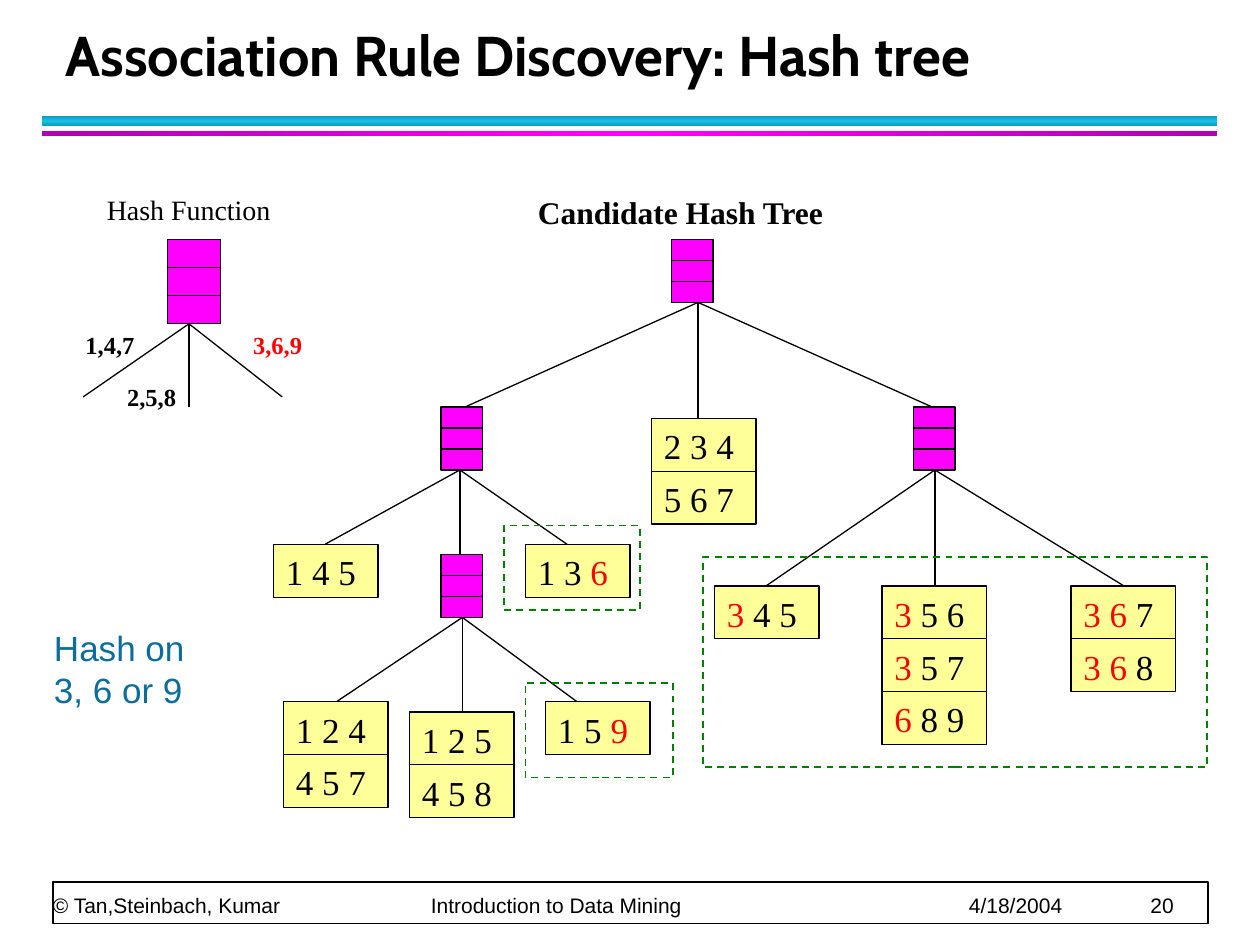
"""Build the slide that shows a candidate hash tree, hashed on 3, 6 or 9."""
import copy

import pptx
import pptx.dml.color
import pptx.enum.dml
import pptx.enum.shapes
import pptx.enum.text
import pptx.oxml.ns
import pptx.oxml.xmlchemy
import pptx.util

Inches = pptx.util.Inches
Pt = pptx.util.Pt

THEME = {
    "colors": {
        "ink": "000000", "paper": "FFFFFF", "hit": "FF0000", "node": "FF00FF",
        "leaf": "FFFF99", "match": "008000", "note": "0C6D9C",
    },
    "bars": {"cyan": ("0E9AB9", "12C2E9"), "magenta": ("B100B1", "FF00FF")},
    "text": {
        "title": {"name": "Cabin", "size": Pt(32), "bold": True},
        "heading": {"name": "Times New Roman", "size": Pt(18), "bold": True},
        "legend": {"name": "Times New Roman", "size": Pt(16), "bold": False},
        "branch": {"name": "Times New Roman", "size": Pt(14), "bold": True},
        "leaf": {"name": "Times New Roman", "size": Pt(20), "bold": False},
        "note": {"name": "Arial", "size": Pt(20), "bold": False},
        "footer": {"name": "Arial", "size": Pt(12), "bold": False},
    },
    "thin": Pt(0.75),
    "outline": Pt(1),
}

TITLE = "Association Rule Discovery: Hash tree"
FOOTER = ["© Tan,Steinbach, Kumar", "Introduction to Data Mining", "4/18/2004", "20"]
FOOTER_TABS = [3, 7.27, 8.71]

RULES = [((0.33, 0.92, 9.33, 0.08), "cyan", 90), ((0.33, 1.04, 9.33, 0.04), "magenta", 0)]

NODE_SIZE = (0.33, 0.5)
LEGEND_SIZE = (0.42, 0.67)
NODES = [
    {"at": (5.33, 1.9), "size": NODE_SIZE, "fork": 5.54,
     "ends": [(3.67, 3.24), (5.54, 3.32), (7.42, 3.24)]},
    {"at": (3.5, 3.23), "size": NODE_SIZE, "fork": 3.65,
     "ends": [(2.58, 4.32), (3.65, 4.4), (4.5, 4.32)]},
    {"at": (7.25, 3.23), "size": NODE_SIZE, "fork": 7.42,
     "ends": [(6.08, 4.65), (7.42, 4.65), (8.92, 4.65)]},
    {"at": (3.5, 4.4), "size": NODE_SIZE, "fork": 3.67,
     "ends": [(2.67, 5.57), (3.67, 5.65), (4.58, 5.57)]},
    {"at": (1.33, 1.9), "size": LEGEND_SIZE, "fork": 1.5,
     "ends": [(0.66, 3.15), (1.5, 3.23), (2.24, 3.15)]},
]

LEAF_SIZE = (0.83, 0.42)
LEAVES = [
    (2.17, 4.32, ["1 4 5"]),
    (4.17, 4.32, ["1 3 |6|"]),
    (5.17, 3.32, ["2 3 4", "5 6 7"]),
    (2.25, 5.57, ["1 2 4", "4 5 7"]),
    (3.25, 5.65, ["1 2 5", "4 5 8"]),
    (4.33, 5.57, ["1 5 |9|"]),
    (5.67, 4.65, ["|3| 4 5"]),
    (7, 4.65, ["|3| 5 6", "|3| 5 7", "|6| 8 9"]),
    (8.5, 4.65, ["|3 6| 7", "|3 6| 8"]),
]

MATCHES = [(4.17, 5.42, 1.17, 0.75), (5.58, 4.42, 4, 1.67), (4, 4.17, 1.08, 0.67)]

LABELS = [
    ("Hash Function", (0.75, 1.48, 1.5, 0.37), "legend", "ink", False),
    ("Candidate Hash Tree", (4.17, 1.48, 2.49, 0.4), "heading", "ink", False),
    ("1,4,7", (0.58, 2.57, 0.59, 0.34), "branch", "ink", False),
    ("2,5,8", (0.91, 2.98, 0.59, 0.34), "branch", "ink", False),
    ("|3,6,9|", (1.91, 2.57, 0.59, 0.34), "branch", "ink", False),
    ("Hash on 3, 6 or 9", (0.33, 4.92, 1.25, 0.77), "note", "note", True),
]


def color(name):
    return pptx.dml.color.RGBColor.from_string(THEME["colors"][name])


def apply(target, values):
    for key, value in values.items():
        setattr(target, key, value)


def write(paragraph, text, style, ink="ink"):
    """Write text, with the parts between bars in the hit colour."""
    paragraph.alignment = pptx.enum.text.PP_ALIGN.LEFT
    for index, part in enumerate(text.split("|")):
        if part:
            run = paragraph.add_run()
            run.text = part
            apply(run.font, THEME["text"][style])
            run.font.color.rgb = color("hit" if index % 2 else ink)


def add_box(slide, frame, fill=None, line="ink", width="thin"):
    box = slide.shapes.add_shape(
        pptx.enum.shapes.MSO_SHAPE.RECTANGLE, *map(Inches, frame))
    box.shadow.inherit = False
    if fill:
        box.fill.solid()
        box.fill.fore_color.rgb = color(fill)
    else:
        box.fill.background()
    box.line.color.rgb = color(line)
    box.line.width = THEME[width]
    return box


def add_line(slide, start, end):
    line = slide.shapes.add_connector(
        pptx.enum.shapes.MSO_CONNECTOR.STRAIGHT, *map(Inches, (*start, *end)))
    line.line.color.rgb = color("ink")
    line.line.width = THEME["thin"]
    line._element.spPr.append(pptx.oxml.xmlchemy.OxmlElement("a:effectLst"))


def add_rule(slide, frame, shades, angle):
    rule = add_box(slide, frame)
    rule.line.fill.background()
    rule.fill.gradient()
    rule.fill.gradient_angle = angle
    edge, middle = THEME["bars"][shades]
    stop_list = rule._element.spPr.find(".//" + pptx.oxml.ns.qn("a:gsLst"))
    stop_list.append(copy.deepcopy(stop_list[0]))
    for stop, place, shade in zip(rule.fill.gradient_stops, (0, 0.5, 1), (edge, middle, edge)):
        stop.color.rgb = pptx.dml.color.RGBColor.from_string(shade)
        stop.position = place


def add_node(slide, node):
    (left, top), (width, height) = node["at"], node["size"]
    add_box(slide, (left, top, width, height), "node")
    for third in (1, 2):
        level = top + height * third / 3
        add_line(slide, (left, level), (left + width, level))


def add_leaf(slide, left, top, itemsets):
    width, height = LEAF_SIZE
    for row, itemset in enumerate(itemsets):
        leaf = add_box(slide, (left, top + row * height, width, height), "leaf")
        apply(leaf.text_frame, {
            "vertical_anchor": pptx.enum.text.MSO_ANCHOR.TOP, "margin_bottom": 0})
        write(leaf.text_frame.paragraphs[0], itemset, "leaf")


def add_label(slide, text, frame, style, ink, wraps):
    label = slide.shapes.add_textbox(*map(Inches, frame))
    label.text_frame.word_wrap = wraps
    write(label.text_frame.paragraphs[0], text, style, ink)


def add_title(slide):
    title = slide.shapes.title
    apply(title, dict(zip(("left", "top", "width", "height"),
                          map(Inches, (0.42, 0.17, 9.06, 0.58)))))
    apply(title.text_frame, {
        "vertical_anchor": pptx.enum.text.MSO_ANCHOR.BOTTOM,
        "auto_size": pptx.enum.text.MSO_AUTO_SIZE.NONE})
    heading = title.text_frame.paragraphs[0]
    heading.line_spacing = Pt(36)
    write(heading, TITLE, "title")


def add_footer(slide):
    add_box(slide, (0.42, 7, 9.17, 0.33), "paper", width="outline")
    footer = slide.shapes.add_textbox(*map(Inches, (0.42, 6.72, 9.15, 0.56)))
    apply(footer.text_frame, {
        "word_wrap": True, "vertical_anchor": pptx.enum.text.MSO_ANCHOR.BOTTOM,
        "margin_left": 0, "margin_top": 0, "margin_right": 0, "margin_bottom": 0})
    credits = footer.text_frame.paragraphs[0]
    credits.line_spacing = Pt(20)
    tabs = pptx.oxml.xmlchemy.OxmlElement("a:tabLst")
    for place in FOOTER_TABS:
        tab = pptx.oxml.xmlchemy.OxmlElement("a:tab")
        tab.set("pos", str(Inches(place)))
        tab.set("algn", "l")
        tabs.append(tab)
    credits._p.get_or_add_pPr().append(tabs)
    write(credits, "\t".join(FOOTER), "footer")


def main():
    deck = pptx.Presentation()
    deck.slide_width, deck.slide_height = Inches(10), Inches(7.5)
    slide = deck.slides.add_slide(deck.slide_layouts[5])
    for rule in RULES:
        add_rule(slide, *rule)
    add_footer(slide)
    add_title(slide)
    for node in NODES:
        for end in node["ends"]:
            add_line(slide, (node["fork"], node["at"][1] + node["size"][1]), end)
    for node in NODES:
        add_node(slide, node)
    for leaf in LEAVES:
        add_leaf(slide, *leaf)
    for label in LABELS:
        add_label(slide, *label)
    for frame in MATCHES:
        match = add_box(slide, frame, line="match", width="outline")
        match.line.dash_style = pptx.enum.dml.MSO_LINE.DASH
    deck.save("out.pptx")


if __name__ == "__main__":
    main()
